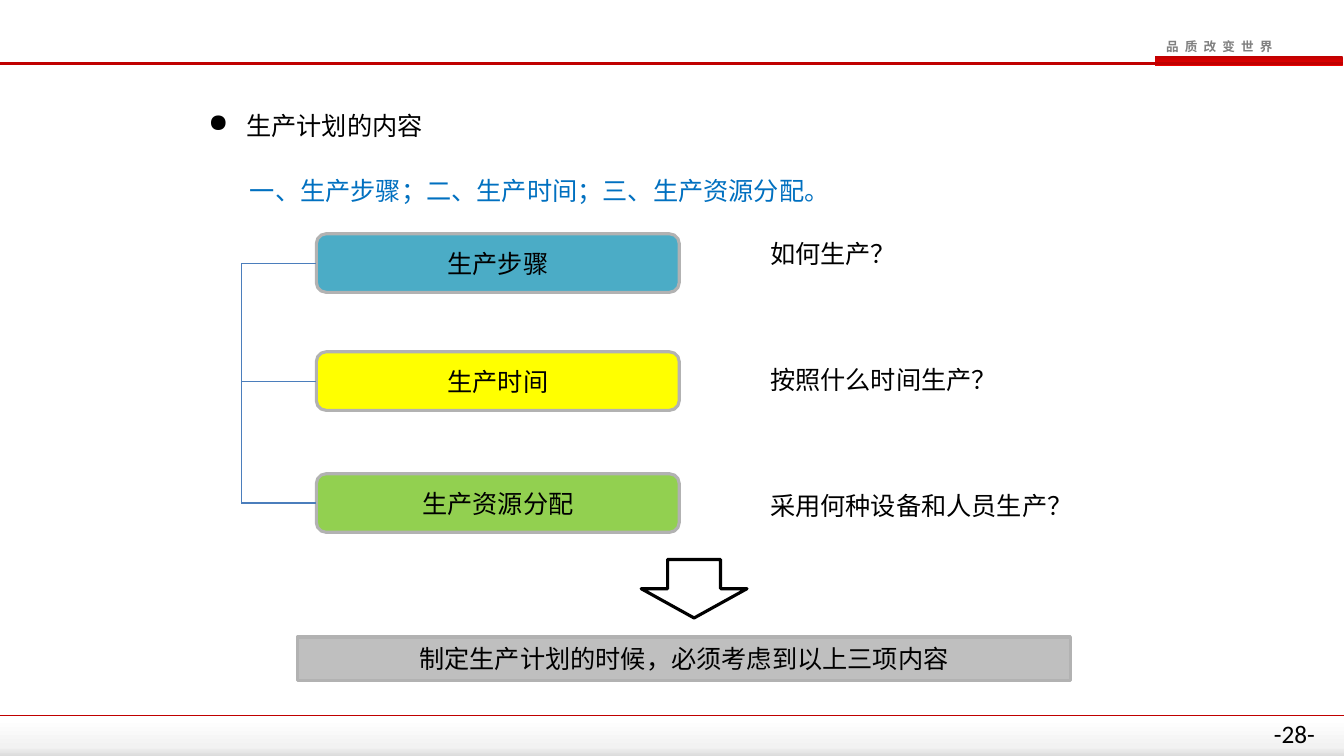
"""Build the slide on what a production plan contains."""
from typing import NamedTuple

from lxml.etree import SubElement
from pptx import Presentation
from pptx.dml.color import RGBColor
from pptx.enum.shapes import MSO_CONNECTOR, MSO_SHAPE
from pptx.enum.text import MSO_ANCHOR, PP_ALIGN
from pptx.oxml.ns import qn
from pptx.util import Pt

COLORS = {
    "black": "000000", "blue": "0070C0", "teal": "4BACC6", "yellow": "FFFF00",
    "green": "92D050", "silver": "BFBFBF", "edge": "B2B2B2", "link": "4B7EBC",
    "red": "C00000", "bright": "EE0000", "gray": "808080",
    "white": "FFFFFF", "pale": "F2F2F2", "mist": "DCDCDC",
}
ASIAN = "Noto Sans CJK SC"


class Area(NamedTuple):
    left: float
    top: float
    width: float
    height: float


class Label(NamedTuple):
    text: str
    area: Area
    color: str = "black"
    font: str = "Calibri"
    size: float = 18
    bold: bool = False
    wrap: bool = True
    pad: tuple = (7.2, 3.6)
    pitch: float = 1
    bullet: str = ""
    track: int = 0


class Panel(NamedTuple):
    text: str
    area: Area
    fill: str
    kind: MSO_SHAPE = MSO_SHAPE.ROUNDED_RECTANGLE


class Band(NamedTuple):
    area: Area
    stops: tuple


class Rule(NamedTuple):
    start: tuple
    end: tuple
    color: str
    width: float


def tint(name: str) -> RGBColor:
    return RGBColor.from_string(COLORS[name])


def write(para, label: Label) -> None:
    run = para.add_run()
    run.text = label.text
    font = run.font
    font.name, font.size, font.bold = label.font, Pt(label.size), label.bold
    font.color.rgb = tint(label.color)
    props = font._element
    if label.track:
        props.set("spc", str(label.track))
    SubElement(props, qn("a:ea")).set("typeface", ASIAN)


def add_label(slide, label: Label) -> None:
    frame = slide.shapes.add_textbox(*map(Pt, label.area)).text_frame
    frame.word_wrap = label.wrap
    frame.margin_left = frame.margin_right = Pt(label.pad[0])
    frame.margin_top = frame.margin_bottom = Pt(label.pad[1])
    para = frame.paragraphs[0]
    para.line_spacing = label.pitch
    if label.bullet:
        props = para._p.get_or_add_pPr()
        props.set("marL", str(Pt(27)))
        props.set("indent", str(-Pt(27)))
        SubElement(props, qn("a:buChar")).set("char", label.bullet)
    write(para, label)


def add_panel(slide, panel: Panel):
    shape = slide.shapes.add_shape(panel.kind, *map(Pt, panel.area))
    shape.shadow.inherit = False
    shape.fill.solid()
    shape.fill.fore_color.rgb = tint(panel.fill)
    shape.line.color.rgb = tint("edge")
    shape.line.width = Pt(2.25)
    frame = shape.text_frame
    frame.word_wrap = True
    frame.vertical_anchor = MSO_ANCHOR.MIDDLE
    para = frame.paragraphs[0]
    para.alignment = PP_ALIGN.CENTER
    write(para, Label(panel.text, panel.area))
    return shape


def add_band(slide, band: Band) -> None:
    shape = slide.shapes.add_shape(MSO_SHAPE.RECTANGLE, *map(Pt, band.area))
    shape.shadow.inherit = False
    shape.line.fill.background()
    shape.fill.gradient()
    shape.fill.gradient_angle = 270
    stops = shape._element.spPr.find(qn("a:gradFill")).find(qn("a:gsLst"))
    stops.clear()
    for place, color in band.stops:
        stop = SubElement(stops, qn("a:gs"))
        stop.set("pos", str(place * 1000))
        SubElement(stop, qn("a:srgbClr")).set("val", COLORS[color])


def add_rule(slide, rule: Rule):
    line = slide.shapes.add_connector(
        MSO_CONNECTOR.STRAIGHT, *map(Pt, rule.start + rule.end))
    line.line.color.rgb = tint(rule.color)
    line.line.width = Pt(rule.width)
    SubElement(line._element.spPr, qn("a:effectLst"))
    return line


def add_arrow(slide, area: Area) -> None:
    shape = slide.shapes.add_shape(MSO_SHAPE.DOWN_ARROW, *map(Pt, area))
    shape.shadow.inherit = False
    shape.fill.background()
    shape.line.color.rgb = tint("black")
    shape.line.width = Pt(2.25)


BANDS = (
    Band(Area(825, 40.3, 134, 6.5), ((0, "red"), (100, "bright"))),
    Band(Area(0, 514, 960, 26), ((0, "white"), (75, "pale"), (100, "mist"))),
)
RULES = (
    Rule((0, 45.4), (959, 45.4), "red", 1.5),
    Rule((0, 511.2), (960, 511.2), "red", 1),
)
LABELS = (
    Label("品 质 改 变 世 界", Area(825.8, 24.5, 98, 18), "gray", ASIAN, 9,
          bold=True, wrap=False, track=120),
    Label("-28-", Area(902.9, 509.8, 57, 29)),
    Label("一、生产步骤；二、生产时间；三、生产资源分配。",
          Area(174.2, 112.3, 591, 40), "blue", "Arial",
          pad=(4.3, 2.2), pitch=1.5),
    Label("生产计划的内容", Area(141.8, 74.9, 653, 32), bullet="●"),
    Label("如何生产？", Area(543, 167, 111, 32)),
    Label("按照什么时间生产？", Area(543, 257, 200, 32)),
    Label("采用何种设备和人员生产？", Area(543, 347, 243, 32)),
)
STEPS = (
    Panel("生产步骤", Area(226, 167, 259.2, 41.8), "teal"),
    Panel("生产时间", Area(226, 251.3, 259.2, 41.8), "yellow"),
    Panel("生产资源分配", Area(226, 338.4, 259.2, 41.8), "green"),
)
RESULT = Panel("制定生产计划的时候，必须考虑到以上三项内容",
               Area(212.4, 455, 552.2, 31), "silver", MSO_SHAPE.RECTANGLE)
TRUNK = 172.3


def main() -> None:
    deck = Presentation()
    deck.slide_width, deck.slide_height = Pt(960), Pt(540)
    slide = deck.slides.add_slide(deck.slide_layouts[6])
    for band in BANDS:
        add_band(slide, band)
    for rule in RULES:
        add_rule(slide, rule)
    for label in LABELS:
        add_label(slide, label)
    mids = [step.area.top + step.area.height / 2 for step in STEPS]
    add_rule(slide, Rule((TRUNK, mids[0]), (TRUNK, mids[-1]), "link", 0.75))
    for step, mid in zip(STEPS, mids):
        shape = add_panel(slide, step)
        branch = add_rule(
            slide, Rule((TRUNK, mid), (step.area.left, mid), "link", 0.75))
        branch.end_connect(shape, 1)
    add_panel(slide, RESULT)
    add_arrow(slide, Area(458, 399.6, 75.6, 41.8))
    deck.save("out.pptx")


if __name__ == "__main__":
    main()
